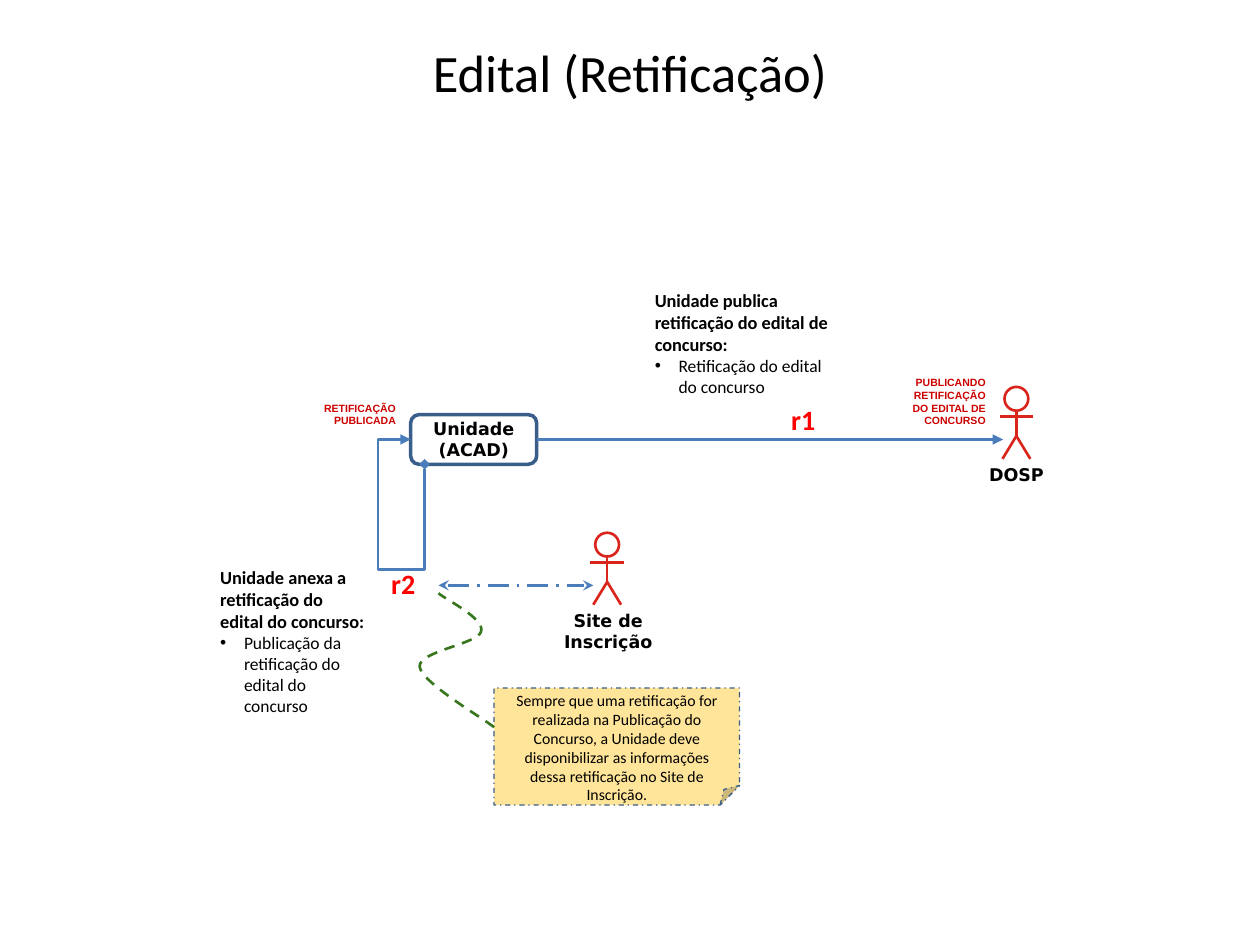
"""Build the "Edital (Retificação)" flow slide."""
import pptx
import pptx.dml.color
import pptx.enum.dml
import pptx.enum.shapes
import pptx.enum.text
import pptx.oxml
import pptx.oxml.ns
import pptx.util
from lxml import etree

Cm = pptx.util.Cm
Pt = pptx.util.Pt
RGB = pptx.dml.color.RGBColor
ALIGN = pptx.enum.text.PP_ALIGN
ANCHOR = pptx.enum.text.MSO_ANCHOR
DASH = pptx.enum.dml.MSO_LINE
SHAPE = pptx.enum.shapes.MSO_SHAPE
STRAIGHT = pptx.enum.shapes.MSO_CONNECTOR.STRAIGHT
qn = pptx.oxml.ns.qn

BLACK = RGB(0x00, 0x00, 0x00)
WHITE = RGB(0xFF, 0xFF, 0xFF)
RED = RGB(0xFF, 0x00, 0x00)
STATE_RED = RGB(0xCC, 0x00, 0x00)
ACTOR_RED = RGB(0xDA, 0x25, 0x1D)
FLOW_BLUE = RGB(0x4A, 0x7D, 0xBA)
BORDER_BLUE = RGB(0x39, 0x5E, 0x89)
NOTE_YELLOW = RGB(0xFF, 0xE5, 0x99)
NOTE_GREEN = RGB(0x38, 0x76, 0x1D)

TITLE = "Edital (Retificação)"
TITLE_BOX = (1.27, 0.76, 22.86, 1.37)
UNIT = ["Unidade", "(ACAD)"]
UNIT_BOX = (8.28, 8.36, 2.54, 1.0)
NOTE = ["Sempre que uma retificação for realizada na Publicação do Concurso, "
        "a Unidade deve disponibilizar as informações dessa retificação "
        "no Site de Inscrição."]
NOTE_BOX = (9.96, 13.87, 4.95, 2.36)

ACTORS = [
    (["DOSP"], (20.49, 7.8), (19.69, 9.22, 1.63, 0.69), ALIGN.LEFT),
    (["Site de", "Inscrição"], (12.24, 10.74), (10.9, 12.17, 2.72, 0.69), ALIGN.CENTER),
]
HEAD = 0.48
LIMBS = [
    ((0, 0.5), (0, 0.99)),
    ((-0.34, 0.6), (0, 0.6)),
    ((0.34, 0.6), (0, 0.6)),
    ((0, 0.99), (-0.28, 1.45)),
    ((0, 0.99), (0.28, 1.45)),
]
STEPS = [
    ("Unidade anexa a retificação do edital do concurso:",
     "Publicação da retificação do edital do concurso", (4.19, 11.28, 3.45, 2.84)),
    ("Unidade publica retificação do edital de concurso:",
     "Retificação do edital do concurso", (12.95, 5.69, 4.17, 2.84)),
]
STEP_MARKS = [
    ("r2", (7.47, 11.3, 1.32, 1.02), ALIGN.CENTER),
    ("r1", (15.7, 7.98, 1.5, 1.02), ALIGN.LEFT),
]
STATES = [
    (["RETIFICAÇÃO", "PUBLICADA"], (6.22, 7.85, 2.01, 0.66)),
    (["PUBLICANDO RETIFICAÇÃO DO EDITAL DE CONCURSO"], (18.11, 7.34, 2.01, 1.47)),
]
DOSP_END = (20.22, 8.86)
SITE_FLOW = ((8.84, 11.8), (11.96, 11.8))
LOOP = [(8.56, 9.36), (8.56, 11.48), (7.62, 11.48), (7.62, 8.86), (8.28, 8.86)]
NOTE_CURVE = [
    (9.96, 14.66),
    (9.7, 14.45), (8.51, 13.77), (8.46, 13.44),
    (8.43, 13.13), (9.65, 12.98), (9.7, 12.73),
    (9.78, 12.47), (8.99, 12.09), (8.84, 11.96),
]


def cm(values):
    return [Cm(value) for value in values]


def write(frame, paragraphs, size, font="Calibri", color=BLACK, bold=False,
          align=ALIGN.LEFT, anchor=ANCHOR.TOP, inset=0.13, wrap=True, bullet=False):
    frame.word_wrap = wrap
    frame.vertical_anchor = anchor
    frame.margin_left = frame.margin_right = Cm(0.25)
    frame.margin_top = frame.margin_bottom = Cm(inset)
    for text in paragraphs:
        first = not frame.paragraphs[0].runs
        paragraph = frame.paragraphs[0] if first else frame.add_paragraph()
        paragraph.alignment = align
        if bullet:
            properties = paragraph._p.get_or_add_pPr()
            properties.set("marL", str(Cm(0.48)))
            properties.set("indent", str(-Cm(0.48)))
            etree.SubElement(properties, qn("a:buFont")).set("typeface", "Arial")
            etree.SubElement(properties, qn("a:buChar")).set("char", "•")
        run = paragraph.add_run()
        run.text = text
        run.font.size = Pt(size)
        run.font.name = font
        run.font.bold = bold
        run.font.color.rgb = color


def outline(shape, color, width=1.5, dash=None, head=None, tail=None):
    shape.line.color.rgb = color
    shape.line.width = Pt(width)
    if dash:
        shape.line.dash_style = dash
    for tag, kind in (("a:headEnd", head), ("a:tailEnd", tail)):
        if kind:
            etree.SubElement(shape.line._get_or_add_ln(), qn(tag)).set("type", kind)
    etree.SubElement(shape._element.spPr, qn("a:effectLst"))


def add_line(shapes, start, end, color, **style):
    line = shapes.add_connector(STRAIGHT, *cm(start + end))
    outline(line, color, **style)
    return line


def add_text(shapes, box, paragraphs, **style):
    frame = shapes.add_textbox(*cm(box)).text_frame
    write(frame, paragraphs, **style)
    return frame


def add_open_path(shapes, points):
    builder = shapes.build_freeform(*cm(points[0]))
    builder.add_line_segments([cm(point) for point in points[1:]], close=False)
    outline_path = builder.convert_to_shape()
    outline_path.fill.background()
    return outline_path


def curve(shape):
    route = next(shape._element.iter(qn("a:path")))
    segments = route.findall(qn("a:lnTo"))
    for first in range(0, len(segments), 3):
        bezier = etree.SubElement(route, qn("a:cubicBezTo"))
        for segment in segments[first:first + 3]:
            bezier.append(segment[0])
            route.remove(segment)


def add_actor(shapes, label, top_center, label_box, align):
    x, y = top_center
    parts = shapes.add_group_shape().shapes
    head = parts.add_shape(SHAPE.OVAL, *cm((x - HEAD / 2, y, HEAD, HEAD)))
    head.fill.solid()
    head.fill.fore_color.rgb = WHITE
    outline(head, ACTOR_RED)
    for (x1, y1), (x2, y2) in LIMBS:
        add_line(parts, (x + x1, y + y1), (x + x2, y + y2), ACTOR_RED)
    add_text(parts, label_box, label, size=10, font="DejaVu Sans", bold=True,
             align=align, wrap=False)


def main():
    deck = pptx.Presentation()
    deck.slide_width, deck.slide_height = Cm(25.4), Cm(19.05)
    slide = deck.slides.add_slide(deck.slide_layouts[5])
    shapes = slide.shapes

    title = shapes.title
    title.left, title.top, title.width, title.height = cm(TITLE_BOX)
    write(title.text_frame, [TITLE], size=30, align=ALIGN.CENTER,
          anchor=ANCHOR.MIDDLE, inset=0.25)

    unit = shapes.add_shape(SHAPE.ROUNDED_RECTANGLE, *cm(UNIT_BOX))
    unit.fill.background()
    outline(unit, BORDER_BLUE, width=2)
    write(unit.text_frame, UNIT, size=10, font="DejaVu Sans", bold=True,
          align=ALIGN.CENTER, anchor=ANCHOR.MIDDLE)

    for actor in ACTORS:
        add_actor(shapes, *actor)
    for heading, item, box in STEPS:
        frame = add_text(shapes, box, [heading], size=10.5, bold=True)
        write(frame, [item], size=10, bullet=True)

    publish = add_line(shapes, DOSP_END, DOSP_END, FLOW_BLUE, tail="triangle")
    publish.begin_connect(unit, 3)
    add_line(shapes, *SITE_FLOW, FLOW_BLUE, dash=DASH.LONG_DASH_DOT,
             head="stealth", tail="stealth")
    outline(add_open_path(shapes, LOOP), FLOW_BLUE, head="diamond", tail="triangle")

    for mark, box, align in STEP_MARKS:
        add_text(shapes, box, [mark], size=16, color=RED, bold=True, align=align)
    for state, box in STATES:
        add_text(shapes, box, state, size=6, font="Arial", color=STATE_RED,
                 bold=True, align=ALIGN.RIGHT, inset=0.25)

    note = shapes.add_shape(SHAPE.FOLDED_CORNER, *cm(NOTE_BOX))
    note.fill.solid()
    note.fill.fore_color.rgb = NOTE_YELLOW
    outline(note, BORDER_BLUE, width=0.75, dash=DASH.DASH_DOT)
    write(note.text_frame, NOTE, size=9, align=ALIGN.CENTER, inset=0.05)
    note_link = add_open_path(shapes, NOTE_CURVE)
    curve(note_link)
    outline(note_link, NOTE_GREEN, dash=DASH.DASH)

    deck.save("out.pptx")


if __name__ == "__main__":
    main()
